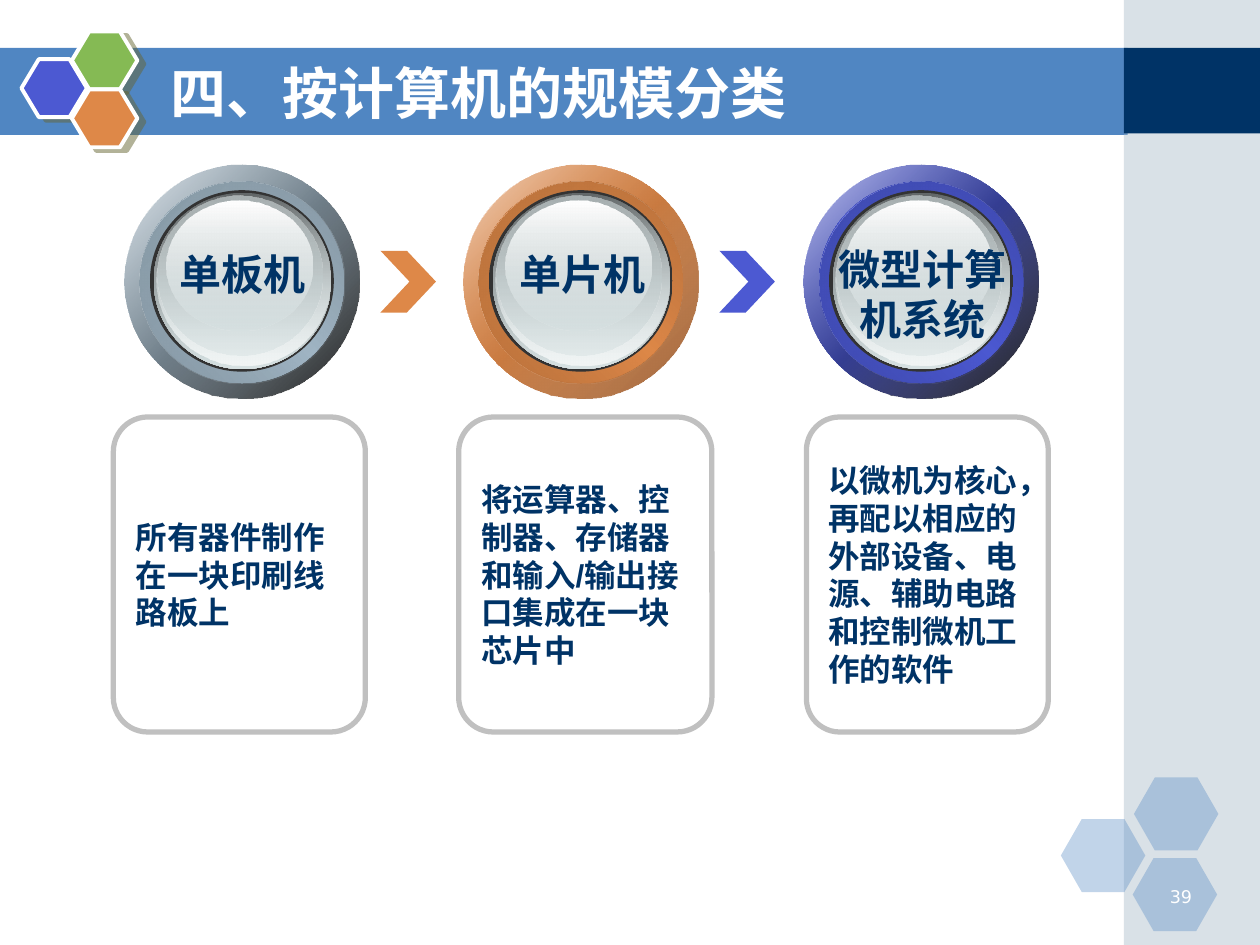
from typing import NamedTuple, Optional

from lxml.etree import SubElement
from pptx import Presentation
from pptx.dml.color import RGBColor
from pptx.enum.shapes import MSO_SHAPE
from pptx.enum.text import MSO_ANCHOR, MSO_AUTO_SIZE, PP_ALIGN
from pptx.oxml.ns import qn
from pptx.util import Pt

PX = 9144  # EMU in one px, at 100 px to the inch

WHITE = RGBColor(0xFF, 0xFF, 0xFF)
BLACK = RGBColor(0x00, 0x00, 0x00)
NAVY = RGBColor(0x00, 0x33, 0x66)
BAND_BLUE = RGBColor(0x50, 0x86, 0xC2)
STEEL = RGBColor(0xA0, 0xB5, 0xC4)
INDIGO = RGBColor(0x4C, 0x59, 0xD2)
GREEN = RGBColor(0x85, 0xBA, 0x54)
ORANGE = RGBColor(0xDE, 0x88, 0x48)
BROWN = RGBColor(0x9F, 0x61, 0x34)
OLIVE = RGBColor(0x66, 0x66, 0x33)
BORDER_GRAY = RGBColor(0xC0, 0xC0, 0xC0)
CHARCOAL = RGBColor(0x33, 0x33, 0x33)
GLASS = RGBColor(0xD6, 0xE1, 0xE2)
GLASS_LIGHT = RGBColor(0xF1, 0xF5, 0xF5)
GLASS_MID = RGBColor(0xAA, 0xB2, 0xB3)
GLASS_DARK = RGBColor(0x63, 0x68, 0x69)


class Box(NamedTuple):
    left: int
    top: int
    width: int
    height: int

    def emu(self) -> list[int]:
        return [value * PX for value in self]


class Stop(NamedTuple):
    position: int
    color: RGBColor
    opacity: int = 100


class Layer(NamedTuple):
    """One disc of a dial, placed relative to the dial's corner."""
    box: Box
    angle: int
    stops: list[Stop]


class Category(NamedTuple):
    dial_left: int
    color: RGBColor
    dark: RGBColor
    darker: RGBColor
    shade: Stop
    label: list[str]
    label_box: Box
    note: str
    note_box: Box


DIAL_TOP = 131
CATEGORIES = [
    Category(99, STEEL, RGBColor(0x7B, 0x8B, 0x96), RGBColor(0x83, 0x95, 0xA1),
             Stop(100, BLACK, 90), ["单板机"], Box(132, 192, 121, 50),
             "所有器件制作在一块印刷线路板上", Box(90, 331, 200, 250)),
    Category(368, ORANGE, RGBColor(0xAA, 0x68, 0x37), RGBColor(0xB6, 0x70, 0x3B),
             Stop(100, BROWN), ["单片机"], Box(402, 192, 121, 50),
             "将运算器、控制器、存储器和输入/输出接口集成在一块芯片中", Box(364, 331, 201, 250)),
    Category(638, INDIGO, RGBColor(0x3A, 0x44, 0xA1), RGBColor(0x3E, 0x49, 0xAC),
             Stop(100, BLACK, 90), ["微型计算", "机系统"], Box(655, 188, 154, 90),
             "以微机为核心，再配以相应的外部设备、电源、辅助电路和控制微机工作的软件",
             Box(640, 331, 192, 250)),
]
CHEVRONS = [(Box(302, 199, 44, 49), ORANGE), (Box(571, 199, 44, 49), INDIGO)]
LOGO_HEXAGONS = [(Box(17, 47, 52, 46), INDIGO), (Box(57, 25, 52, 46), GREEN),
                 (Box(57, 71, 52, 46), ORANGE)]
CORNER_HEXAGONS = [Box(842, 650, 67, 58), Box(900, 617, 67, 58), Box(899, 681, 67, 58)]

LABEL_FONT = {"name": "Arial", "size": Pt(24), "bold": True}
NOTE_FONT = {"name": "Arial", "size": Pt(18), "bold": True}
TITLE_FONT = {"name": "Noto Sans CJK SC", "size": Pt(32), "bold": True}
NUMBER_FONT = {"name": "DejaVu Sans", "size": Pt(10)}


def set_format(target, values: dict) -> None:
    for name, value in values.items():
        setattr(target, name, value)


def add_color(parent, color: RGBColor, opacity: int) -> None:
    element = SubElement(parent, qn("a:srgbClr"), val=str(color))
    if opacity < 100:
        SubElement(element, qn("a:alpha"), val=str(opacity * 1000))


def add_figure(slide, kind, box: Box, color: Optional[RGBColor] = None,
               opacity: int = 100, adjust: Optional[float] = None):
    shape = slide.shapes.add_shape(kind, *box.emu())
    shape.shadow.inherit = False
    shape.line.fill.background()
    if adjust is not None:
        shape.adjustments[0] = adjust
    if color is None:
        shape.fill.background()
    else:
        shape.fill.solid()
        shape.fill.fore_color.rgb = color
        if opacity < 100:
            element = shape.element.spPr.find(qn("a:solidFill"))[0]
            SubElement(element, qn("a:alpha"), val=str(opacity * 1000))
    return shape


def add_outline(shape, color: RGBColor, width: float) -> None:
    shape.line.color.rgb = color
    shape.line.width = Pt(width)


def add_offset_shadow(shape) -> None:
    effects = shape.element.spPr.find(qn("a:effectLst"))
    shadow = SubElement(effects, qn("a:outerShdw"), dist=str(Pt(4.5)),
                        dir=str(27 * 60000), algn="ctr", rotWithShape="0")
    add_color(shadow, OLIVE, 50)


def fill_gradient(shape, angle: int, stops: list[Stop]) -> None:
    shape.fill.gradient()
    gradient = shape.element.spPr.find(qn("a:gradFill"))
    gradient.clear()
    stop_list = SubElement(gradient, qn("a:gsLst"))
    for stop in stops:
        element = SubElement(stop_list, qn("a:gs"), pos=str(stop.position * 1000))
        add_color(element, stop.color, stop.opacity)
    SubElement(gradient, qn("a:lin"), ang=str(angle * 60000), scaled="0")


def write_text(shape, lines: list[str], font: dict, color: RGBColor,
               alignment=PP_ALIGN.LEFT, anchor=MSO_ANCHOR.TOP, wrap: bool = True) -> None:
    frame = shape.text_frame
    set_format(frame, {"word_wrap": wrap, "vertical_anchor": anchor,
                       "auto_size": MSO_AUTO_SIZE.NONE})
    frame.text = "\n".join(lines)
    for paragraph in frame.paragraphs:
        paragraph.alignment = alignment
        set_format(paragraph.font, font)
        paragraph.font.color.rgb = color


def add_dial(slide, category: Category) -> None:
    color, dark = category.color, category.dark
    rim = Box(0, 0, 186, 185)
    ring = Box(12, 13, 162, 160)
    layers = [
        Layer(rim, 45, [Stop(0, WHITE), Stop(50, color), Stop(100, WHITE)]),
        Layer(rim, 45, [Stop(0, color, 32), category.shade]),
        Layer(ring, 315, [Stop(0, dark), Stop(50, color), Stop(100, dark)]),
        Layer(ring, 45, [Stop(0, category.darker), Stop(100, color, 0)]),
        Layer(Box(20, 20, 146, 144), 0, [Stop(0, CHARCOAL), Stop(100, CHARCOAL)]),
        Layer(Box(23, 22, 141, 140), 90, [Stop(0, GLASS_DARK), Stop(100, GLASS)]),
        Layer(Box(25, 23, 138, 136), 90, [Stop(0, GLASS, 0), Stop(100, GLASS_LIGHT)]),
        Layer(Box(26, 24, 131, 127), 90, [Stop(0, GLASS_MID), Stop(100, GLASS, 48)]),
        Layer(Box(33, 28, 116, 103), 90, [Stop(0, WHITE), Stop(100, GLASS, 38)]),
    ]
    for box, angle, stops in layers:
        placed = box._replace(left=category.dial_left + box.left, top=DIAL_TOP + box.top)
        fill_gradient(add_figure(slide, MSO_SHAPE.OVAL, placed), angle, stops)


def main() -> None:
    presentation = Presentation()
    presentation.slide_width, presentation.slide_height = 1000 * PX, 750 * PX
    slide = presentation.slides.add_slide(presentation.slide_layouts[5])

    # Header band and side panel
    add_figure(slide, MSO_SHAPE.RECTANGLE, Box(-1, 38, 896, 69), BAND_BLUE)
    add_figure(slide, MSO_SHAPE.RECTANGLE, Box(892, 0, 108, 750), STEEL, 40)
    add_figure(slide, MSO_SHAPE.RECTANGLE, Box(892, 38, 108, 68), NAVY)

    # Hexagon clusters
    for box in CORNER_HEXAGONS:
        add_figure(slide, MSO_SHAPE.HEXAGON, box, BAND_BLUE, 35, 0.286)
    for box, color in LOGO_HEXAGONS:
        hexagon = add_figure(slide, MSO_SHAPE.HEXAGON, box, color, adjust=0.3)
        add_outline(hexagon, WHITE, 2.25)
        add_offset_shadow(hexagon)

    # Slide number
    number = slide.shapes.add_textbox(*Box(906, 698, 50, 25).emu())
    write_text(number, ["39"], NUMBER_FONT, WHITE, PP_ALIGN.RIGHT)

    # Categories: note, dial and label
    for category in CATEGORIES:
        note = add_figure(slide, MSO_SHAPE.ROUNDED_RECTANGLE, category.note_box, adjust=0.137)
        add_outline(note, BORDER_GRAY, 3)
        write_text(note, [category.note], NOTE_FONT, NAVY, anchor=MSO_ANCHOR.MIDDLE)
        add_dial(slide, category)
        label = slide.shapes.add_textbox(*category.label_box.emu())
        write_text(label, category.label, LABEL_FONT, NAVY, PP_ALIGN.CENTER, wrap=False)

    # Arrows between the dials
    for box, color in CHEVRONS:
        add_figure(slide, MSO_SHAPE.CHEVRON, box, color, adjust=0.525)

    # Title, brought in front of the band
    title = slide.shapes.title
    title.left, title.top, title.width, title.height = Box(125, 42, 733, 62).emu()
    write_text(title, ["四、按计算机的规模分类"], TITLE_FONT, WHITE, anchor=MSO_ANCHOR.MIDDLE)
    title.element.getparent().append(title.element)

    presentation.save("out.pptx")


if __name__ == "__main__":
    main()
